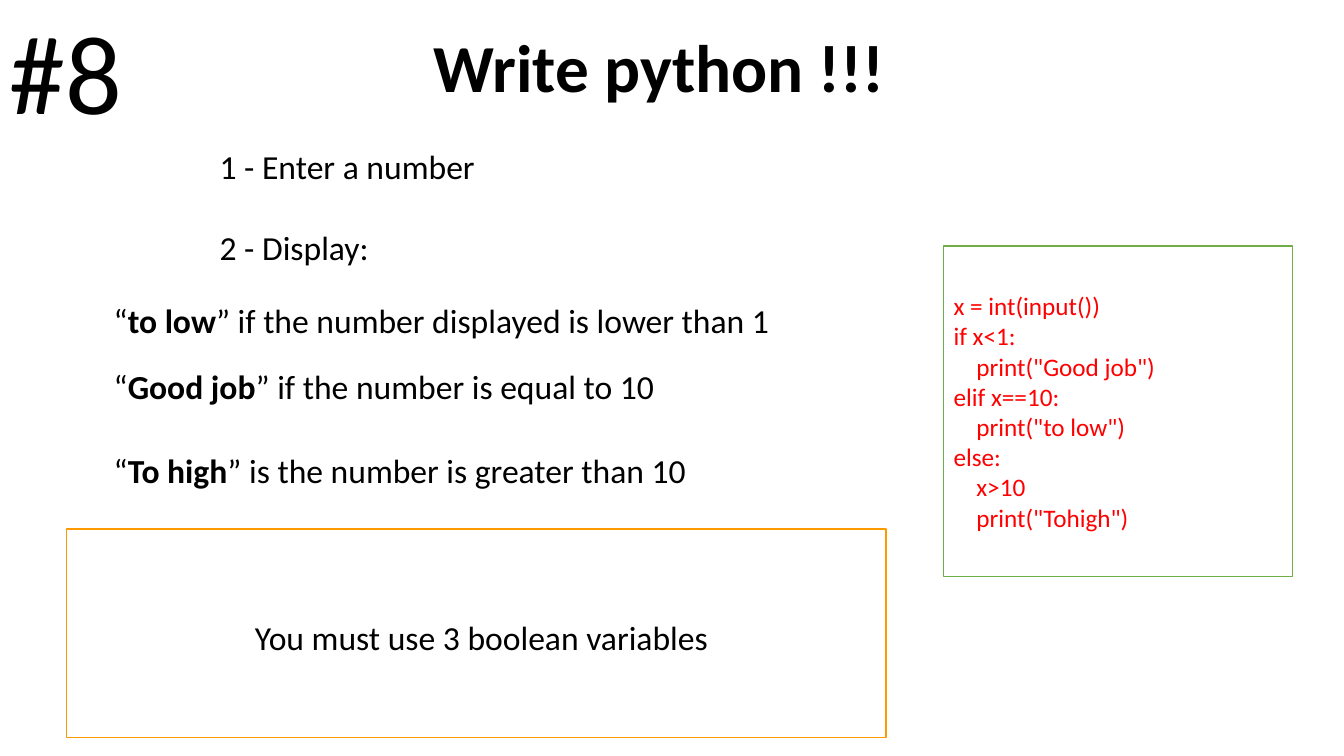
from pptx import Presentation
from pptx.dml.color import RGBColor
from pptx.enum.shapes import MSO_SHAPE
from pptx.enum.text import MSO_ANCHOR, MSO_AUTO_SIZE, PP_ALIGN
from pptx.util import Inches, Pt

COLORS = {"text": "000000", "code": "FF0000", "paper": "FFFFFF",
          "note": "FE9900", "answer": "70AD47"}
FONT = "Calibri"

STEPS = ["1 - Enter a number", "2 - Display:"]
RULES = [
    (2.93, "to low", "” if the number displayed is lower than 1"),
    (3.58, "Good job", "” if the number is equal to 10"),
    (4.41, "To high", "” is the number is greater than 10"),
]
CODE = """x = int(input())
if x<1:
    print("Good job")
elif x==10:
    print("to low")
else:
    x>10
    print("Tohigh")"""


def style(paragraph, size, color="text", bold=None):
    font = paragraph.font
    font.name, font.size, font.bold = FONT, Pt(size), bold
    font.color.rgb = RGBColor.from_string(COLORS[color])
    paragraph.alignment = PP_ALIGN.LEFT


def add_text(slide, left, top, width, height, lines, size=24, gap=0):
    """Place unwrapped lines; each line is a list of (text, bold) runs."""
    box = slide.shapes.add_textbox(*map(Inches, (left, top, width, height)))
    frame = box.text_frame
    frame.word_wrap = False
    for i, runs in enumerate(lines):
        paragraph = frame.add_paragraph() if i else frame.paragraphs[0]
        for text, bold in runs:
            run = paragraph.add_run()
            run.text = text
            if bold:
                run.font.bold = True
        style(paragraph, size)
        if i and gap:
            paragraph.space_before = Pt(gap)


def add_frame(slide, left, top, width, height, line):
    frame = slide.shapes.add_shape(
        MSO_SHAPE.RECTANGLE, *map(Inches, (left, top, width, height)))
    frame.shadow.inherit = False
    frame.fill.background()
    frame.line.color.rgb = RGBColor.from_string(COLORS[line])
    frame.line.width = Pt(1)
    return frame


def add_heading(slide, left, top, width, height):
    title = slide.shapes.title
    title.left, title.top, title.width, title.height = map(
        Inches, (left, top, width, height))
    frame = title.text_frame
    frame.text = "Write python !!!"
    frame.auto_size = MSO_AUTO_SIZE.NONE
    frame.vertical_anchor = MSO_ANCHOR.TOP
    style(frame.paragraphs[0], 48, bold=True)
    add_text(slide, 0, -0.02, 1.33, 1.45, [[("#8", False)]], size=80)


def add_task(slide, left, width):
    add_text(slide, left + 1.05, 1.4, 2.76, 1.31,
             [[(step, False)] for step in STEPS], gap=29)
    for top, answer, condition in RULES:
        add_text(slide, left, top, width, 0.5,
                 [[("“", False), (answer, True), (condition, False)]])


def add_note(slide, left, top, width, height):
    add_text(slide, left + 1.77, top + 0.82, 4.81, 0.5,
             [[("You must use 3 boolean variables", False)]])
    add_frame(slide, left, top, width, height, "note")


def add_answer(slide, left, top, width, height):
    answer = add_frame(slide, left, top, width, height, "answer")
    answer.fill.solid()
    answer.fill.fore_color.rgb = RGBColor.from_string(COLORS["paper"])
    frame = answer.text_frame
    frame.word_wrap = True
    frame.vertical_anchor = MSO_ANCHOR.MIDDLE
    frame.text = CODE
    for paragraph in frame.paragraphs:
        style(paragraph, 18, "code")


def main():
    prs = Presentation()
    prs.slide_width, prs.slide_height = Inches(13.33), Inches(7.5)
    slide = prs.slides.add_slide(prs.slide_layouts[5])  # title only
    add_heading(slide, 4.2, 0.2, 5.48, 0.91)
    add_task(slide, 1.03, 6.76)
    add_note(slide, 0.66, 5.25, 8.13, 2.07)
    add_answer(slide, 9.36, 2.44, 3.46, 3.28)
    prs.save("out.pptx")


if __name__ == "__main__":
    main()
